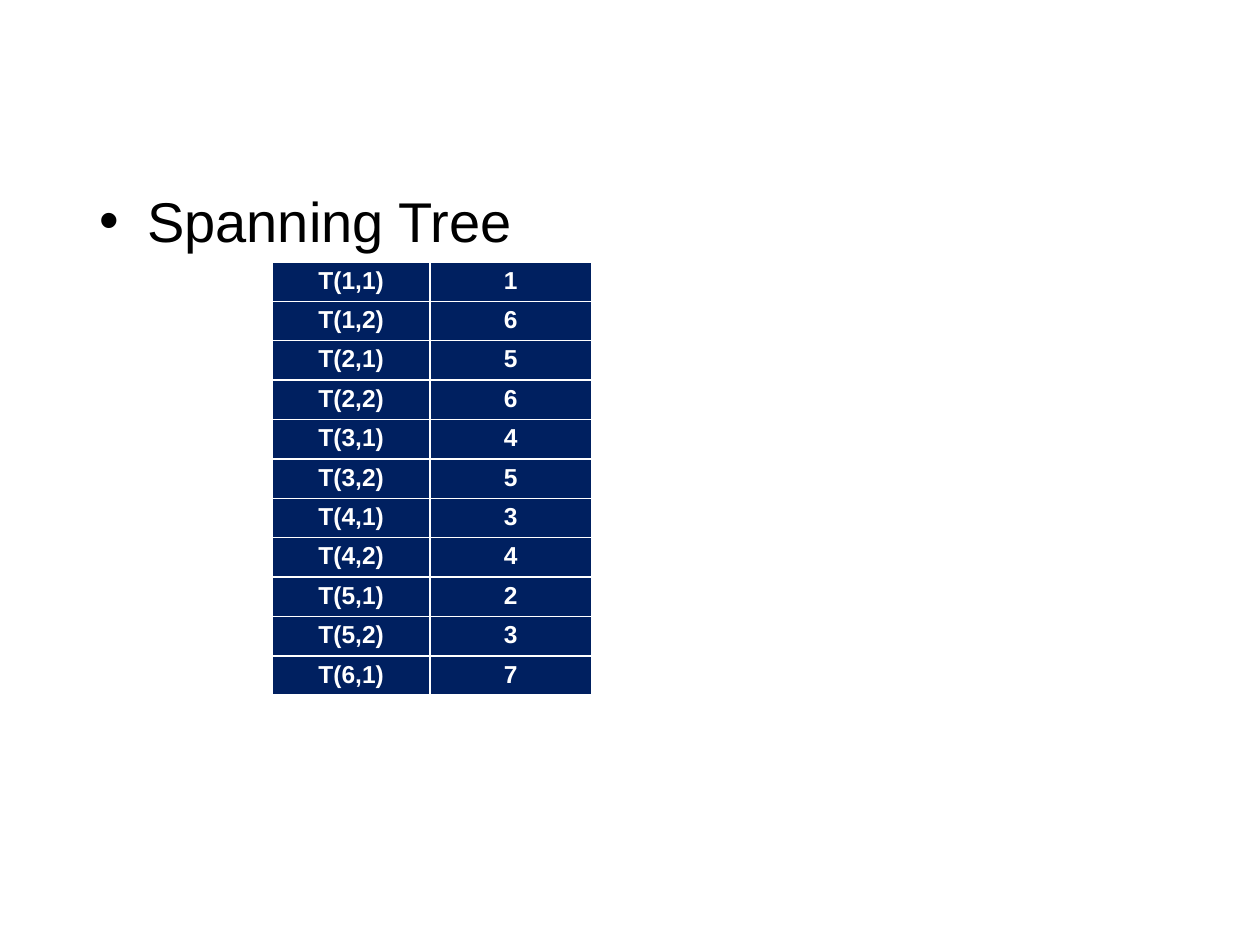
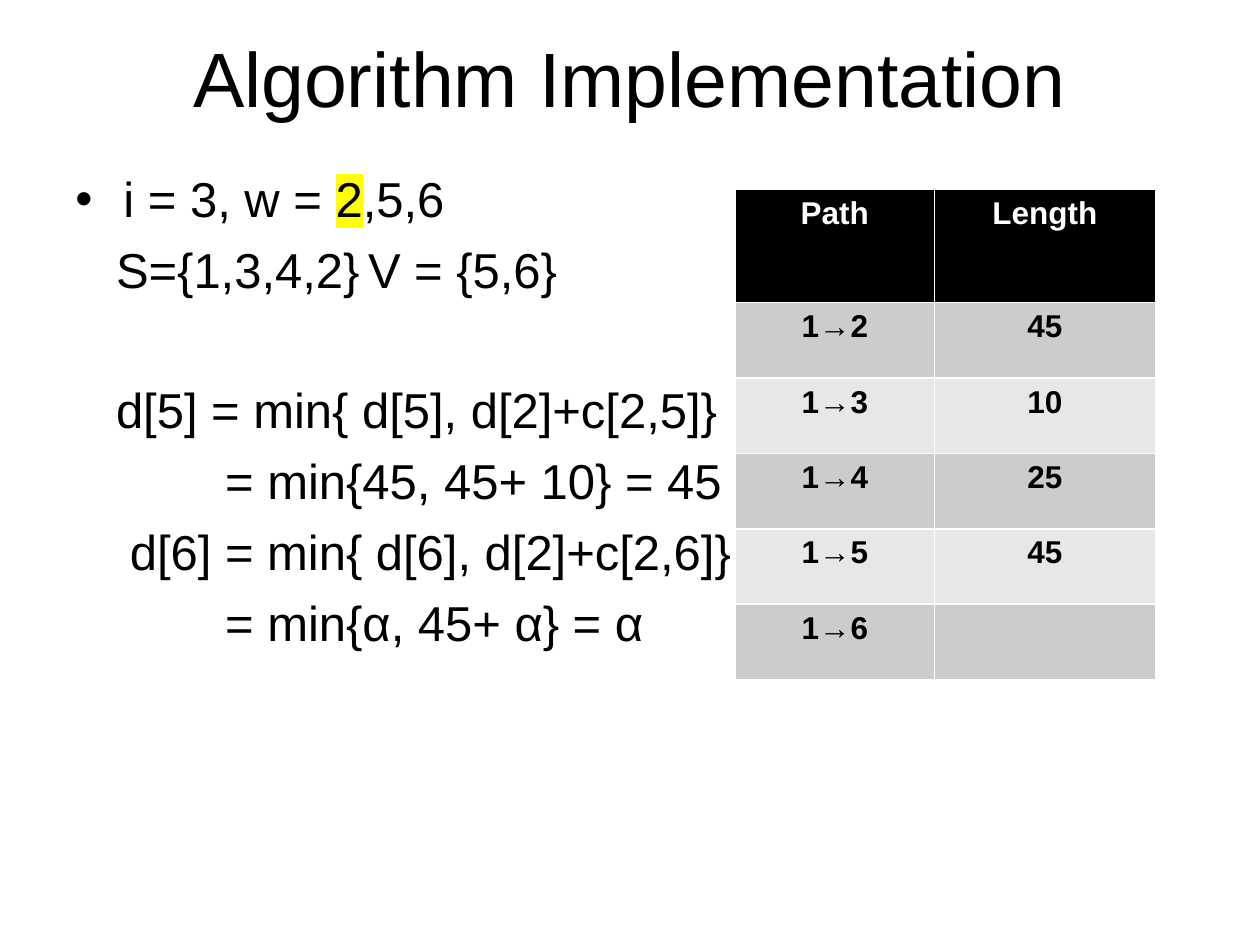
from dataclasses import dataclass

from lxml import etree
from pptx import Presentation
from pptx.dml.color import RGBColor
from pptx.enum.text import MSO_ANCHOR, PP_ALIGN
from pptx.oxml.ns import qn
from pptx.util import Cm, Pt

CENTER, LEFT = PP_ALIGN.CENTER, PP_ALIGN.LEFT
MIDDLE, TOP = MSO_ANCHOR.MIDDLE, MSO_ANCHOR.TOP

FONT = "Arial"
BLACK = RGBColor(0x00, 0x00, 0x00)
WHITE = RGBColor(0xFF, 0xFF, 0xFF)
NAVY = RGBColor(0x00, 0x20, 0x60)
GREY = RGBColor(0xCC, 0xCC, 0xCC)
PALE = RGBColor(0xE7, 0xE7, 0xE7)
YELLOW = RGBColor(0xFF, 0xFF, 0x00)

HANG = 0.97  # bullet indent, cm
GAP = 7  # space between lines, pt
BLOCK = 46  # space between blocks of lines, pt


@dataclass(frozen=True)
class Box:
    left: float
    top: float
    width: float
    height: float


@dataclass(frozen=True)
class Line:
    text: str
    indent: float = 0
    bullet: bool = False
    mark: str = ""
    tab: float = 0
    before: float = GAP


@dataclass(frozen=True)
class Grid:
    left: float
    top: float
    cols: tuple[float, ...]
    head: float
    row: float
    size: float
    pad: tuple[float, float]
    top_fill: RGBColor
    bands: tuple[RGBColor, RGBColor]
    ink: RGBColor


TITLE = Box(1.27, 0.76, 22.86, 1.57)
TREE_BODY = Box(1.75, 3.63, 21.89, 11.63)
STEP_BODY = Box(1.27, 3.28, 22.86, 14.5)

TREE_GRID = Grid(5.49, 5.28, (3.18, 3.25), 0.78, 0.78, 14, (0.18, 0.1),
                 NAVY, (NAVY, NAVY), WHITE)
PATH_GRID = Grid(14.82, 3.81, (4.02, 4.45), 2.29, 1.52, 18, (0.25, 0.13),
                 BLACK, (GREY, PALE), BLACK)

TREE = [("T(1,1)", "1"), ("T(1,2)", "6"), ("T(2,1)", "5"), ("T(2,2)", "6"),
        ("T(3,1)", "4"), ("T(3,2)", "5"), ("T(4,1)", "3"), ("T(4,2)", "4"),
        ("T(5,1)", "2"), ("T(5,2)", "3"), ("T(6,1)", "7")]
PATHS = [("Path", "Length"), ("1→2", "45"), ("1→3", "10"), ("1→4", "25"),
         ("1→5", "45"), ("1→6", "")]

STEPS = [
    Line("i = 3, w = 2,5,6", bullet=True, mark="2", before=0),
    Line("S={1,3,4,2}\tV = {5,6}", 0.82, tab=7.65),
    Line("d[5] = min{ d[5], d[2]+c[2,5]}", 0.82, before=BLOCK),
    Line("= min{45, 45+ 10} = 45", 3.02),
    Line("d[6] = min{ d[6], d[2]+c[2,6]}", 1.1),
    Line("= min{α, 45+ α} = α", 3.02),
]


def style(para, size: float, color: RGBColor, align=LEFT, bold: bool = False) -> None:
    para.alignment = align
    font = para.font
    font.name, font.size, font.bold = FONT, Pt(size), bold
    font.color.rgb = color


def add_runs(para, line: Line) -> None:
    """Write the line, with its marked part on yellow."""
    if not line.mark:
        para.add_run().text = line.text
        return
    for part in line.text.partition(line.mark):
        run = para.add_run()
        run.text = part
        if part == line.mark:
            glow = etree.SubElement(run.font._element, qn("a:highlight"))
            etree.SubElement(glow, qn("a:srgbClr"), val=str(YELLOW))


def set_indent(para, line: Line) -> None:
    """Set margin, bullet and tab stop of a paragraph."""
    props = para._p.get_or_add_pPr()
    margin = HANG if line.bullet else line.indent
    props.set("marL", str(Cm(margin)))
    props.set("indent", str(-Cm(HANG) if line.bullet else 0))
    if line.bullet:
        etree.SubElement(props, qn("a:buFont"), typeface=FONT)
        etree.SubElement(props, qn("a:buChar"), char="•")
    if line.tab:
        tabs = etree.SubElement(props, qn("a:tabLst"))
        etree.SubElement(tabs, qn("a:tab"), pos=str(Cm(line.tab)), algn="l")


def add_text(slide, box: Box, lines: list[Line], size: float,
             align=LEFT, anchor=TOP) -> None:
    shape = slide.shapes.add_textbox(Cm(box.left), Cm(box.top),
                                     Cm(box.width), Cm(box.height))
    frame = shape.text_frame
    frame.word_wrap = True
    frame.vertical_anchor = anchor
    for i, line in enumerate(lines):
        para = frame.add_paragraph() if i else frame.paragraphs[0]
        set_indent(para, line)
        style(para, size, BLACK, align)
        if line.before:
            para.space_before = Pt(line.before)
        add_runs(para, line)


def add_grid(slide, grid: Grid, rows: list[tuple[str, str]]) -> None:
    """Draw a table; its white rules come from the default table style."""
    height = grid.head + grid.row * (len(rows) - 1)
    table = slide.shapes.add_table(
        len(rows), len(grid.cols), Cm(grid.left), Cm(grid.top),
        Cm(sum(grid.cols)), Cm(height)).table
    for col, width in zip(table.columns, grid.cols):
        col.width = Cm(width)
    side, edge = map(Cm, grid.pad)
    for r, values in enumerate(rows):
        table.rows[r].height = Cm(grid.row if r else grid.head)
        fill = grid.bands[(r - 1) % 2] if r else grid.top_fill
        for c, value in enumerate(values):
            cell = table.cell(r, c)
            cell.margin_left = cell.margin_right = side
            cell.margin_top = cell.margin_bottom = edge
            cell.fill.solid()
            cell.fill.fore_color.rgb = fill
            cell.text = value
            style(cell.text_frame.paragraphs[0], grid.size,
                  grid.ink if r else WHITE, CENTER, True)


def main() -> None:
    deck = Presentation()
    deck.slide_width, deck.slide_height = Cm(25.4), Cm(19.05)
    blank = deck.slide_layouts[6]

    tree = deck.slides.add_slide(blank)
    add_text(tree, TREE_BODY, [Line("Spanning Tree", bullet=True, before=0)], 32)
    add_grid(tree, TREE_GRID, TREE)

    step = deck.slides.add_slide(blank)
    add_text(step, TITLE, [Line("Algorithm Implementation", before=0)], 44,
             CENTER, MIDDLE)
    add_text(step, STEP_BODY, STEPS, 28)
    add_grid(step, PATH_GRID, PATHS)

    deck.save("out.pptx")


if __name__ == "__main__":
    main()
